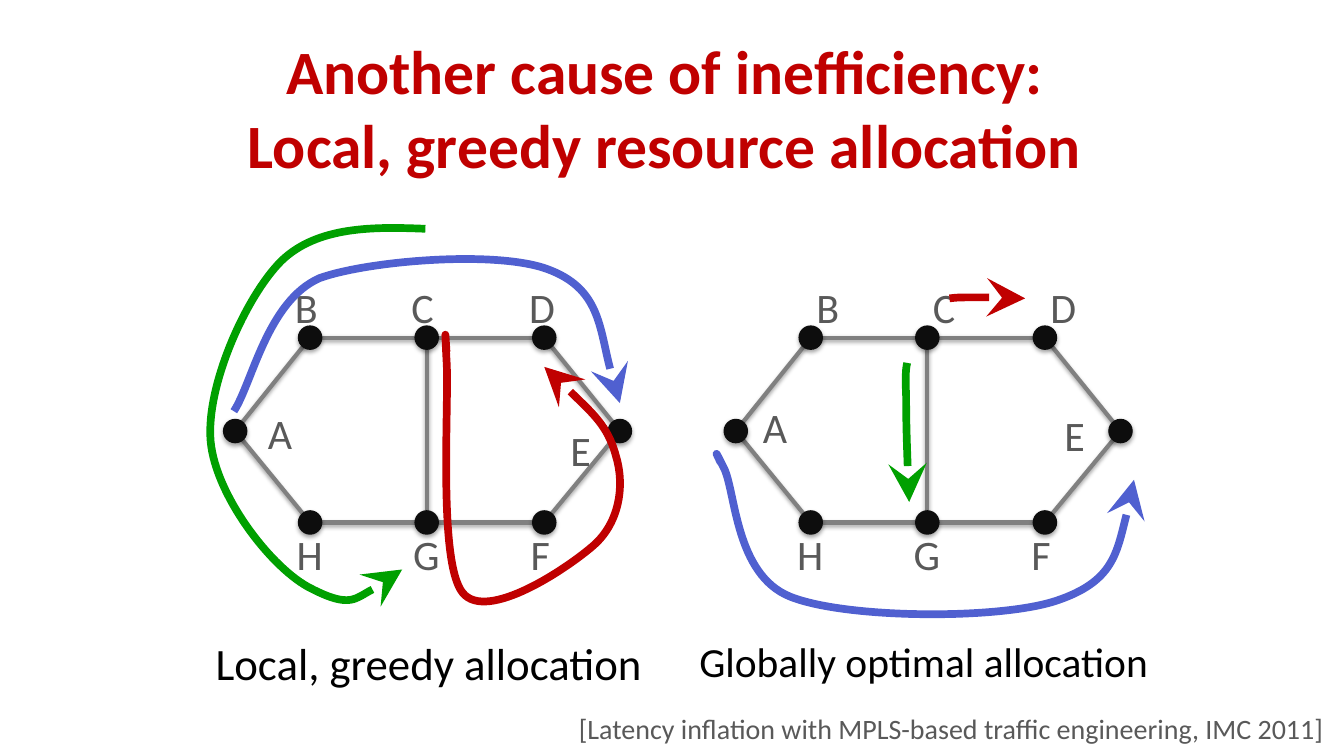
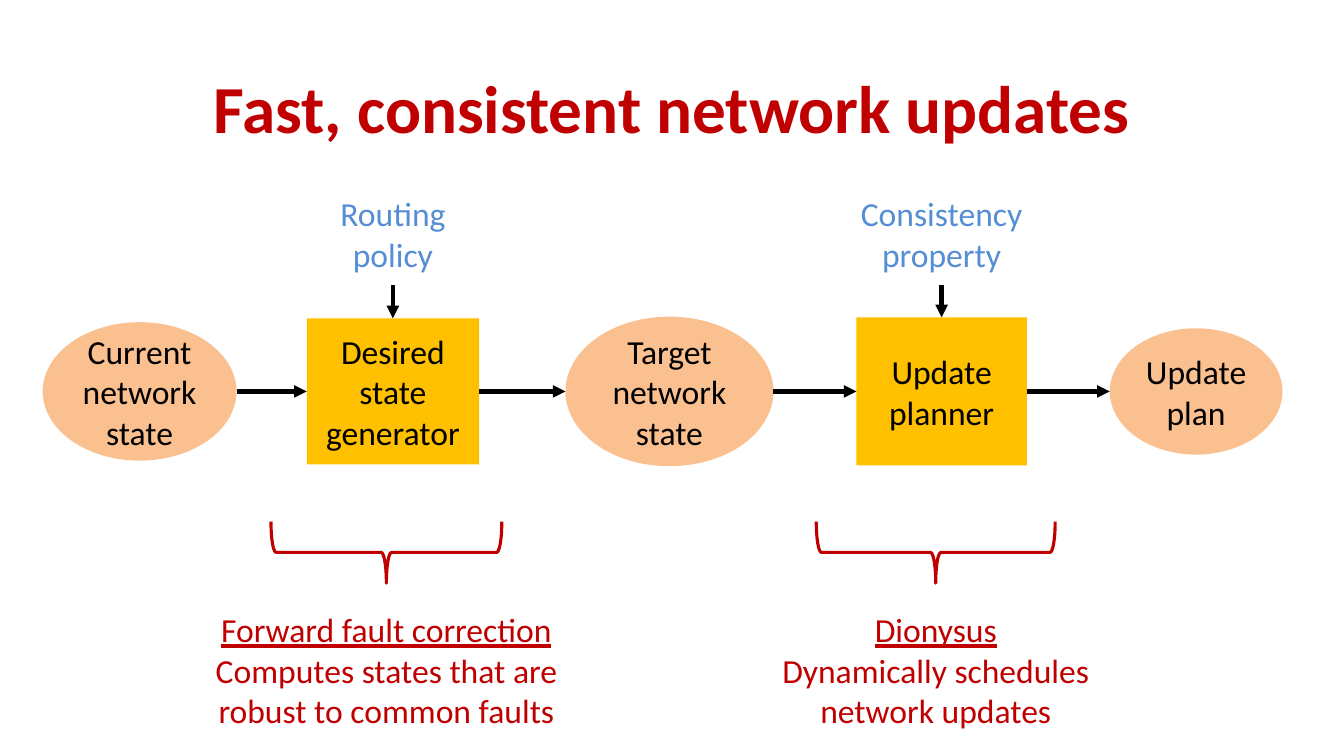
from dataclasses import dataclass

from lxml import etree
from pptx import Presentation
from pptx import util as u
from pptx.dml.color import RGBColor
from pptx.enum import shapes, text
from pptx.oxml import ns

CELL = u.Inches(1 / 3)  # the slide is a grid of square cells
COLS, ROWS = 40, 22.5


@dataclass(frozen=True)
class Theme:
    font: str = "Calibri"
    red: str = "C00000"
    green: str = "00A000"
    blue: str = "5060D0"
    sky: str = "558ED5"
    black: str = "000000"
    grey: str = "595959"
    edge: str = "808080"
    dot: str = "0D0D0D"
    gold: str = "FFC000"
    peach: str = "FAC090"
    title: float = 44
    big_title: float = 48
    caption: float = 32
    small_caption: float = 29.6
    node: float = 30
    label: float = 24
    note: float = 20


T = Theme()

COLUMN = dict(A=7, B=9.23, C=12.7, D=16.2, E=18.45, F=16.2, G=12.7, H=9.23)
TOP, MIDDLE, BOTTOM = 10.05, 12.83, 15.55
ROW = dict(A=MIDDLE, B=TOP, C=TOP, D=TOP, E=MIDDLE, F=BOTTOM, G=BOTTOM, H=BOTTOM)
EDGES = "CG AB BC CD DE EF FG GH HA".split()
DOT = 0.73

# Each flow: colour, then a start point and three points for each Bézier piece.
LOCAL_FLOWS = [
    (T.blue, [(6.96, 12.24),
              (7.5, 11.43), (7.95, 8.97), (9.51, 8.28),
              (10.92, 7.77), (14.73, 7.44), (16.29, 8.01),
              (17.85, 8.58), (17.94, 10.47), (18.45, 12)]),
    (T.red, [(13.29, 10.47),
             (13.26, 9.99), (13.23, 9.51), (13.29, 10.71),
             (13.38, 11.91), (13.02, 16.71), (13.77, 17.64),
             (14.49, 18.54), (16.92, 16.89), (17.67, 16.23),
             (18.45, 15.54), (18.6, 14.43), (18.33, 13.56),
             (18.09, 12.66), (17.13, 11.79), (16.2, 10.92)]),
    (T.green, [(12.66, 6.81),
               (11.16, 6.75), (9.45, 6.72), (8.37, 7.77),
               (7.32, 8.82), (6.12, 11.49), (6.27, 13.14),
               (6.42, 14.76), (8.1, 16.95), (9.27, 17.52),
               (10.44, 18.12), (11.22, 17.52), (11.97, 16.95)]),
]
GLOBAL_FLOWS = [
    (T.blue, [(21.45, 13.77),
              (21.33, 13.53), (21.21, 13.26), (21.54, 13.92),
              (21.9, 14.61), (21.87, 17.1), (23.52, 17.76),
              (25.17, 18.42), (29.73, 18.45), (31.44, 17.88),
              (33.15, 17.31), (33.45, 15.81), (33.75, 14.28)]),
    (T.red, [(28.26, 8.88),
             (28.47, 8.85), (28.65, 8.85), (29.04, 8.85),
             (29.4, 8.85), (29.97, 8.85), (30.51, 8.88)]),
    (T.green, [(27, 10.8),
               (26.97, 10.95), (26.94, 11.1), (26.97, 11.79),
               (26.97, 12.48), (27, 13.71), (27.06, 14.94)]),
]

# Each step: text, is it an ellipse, left, width, height
STEPS = [
    ("Current network state", True, 1.27, 5.77, 4.12),
    ("Desired state generator", False, 9.13, 5.13, 4.35),
    ("Target network state", True, 16.83, 6.19, 4.45),
    ("Update planner", False, 25.49, 5.07, 4.41),
    ("Update plan", True, 33.03, 5.14, 3.76),
]
STEP_ROW = 11.65
# Each input: text, index of the step it feeds, width
INPUTS = [("Routing policy", 1, 5.97), ("Consistency property", 3, 7.8)]
# Each brace: text, centre, brace width, text width
BRACES = [
    ("Forward fault correction\nComputes states that are robust to common faults",
     11.5, 6.87, 11.67),
    ("Dionysus\nDynamically schedules network updates", 27.85, 7.11, 12.27),
]


def grid(*cells):
    return [u.Emu(round(c * CELL)) for c in cells]


def rgb(colour):
    return RGBColor.from_string(colour)


def add_xml(parent, tag, **attributes):
    return etree.SubElement(parent, ns.qn(tag), attributes)


def write(sp, words, size, colour, align=text.PP_ALIGN.CENTER, bold=None):
    tf = sp.text_frame
    tf.text = words
    tf.word_wrap = True
    tf.auto_size = text.MSO_AUTO_SIZE.NONE
    for p in tf.paragraphs:
        p.alignment = align
        for r in p.runs:
            r.font.name, r.font.size, r.font.bold = T.font, u.Pt(size), bold
            r.font.color.rgb = rgb(colour)
    return tf


def place(sp, *box):
    sp.left, sp.top, sp.width, sp.height = grid(*box)


def text_box(s, box, words, size, colour, align=text.PP_ALIGN.CENTER):
    return write(s.shapes.add_textbox(*grid(*box)), words, size, colour, align)


def add_slide(prs, layout, title, size):
    s = prs.slides.add_slide(prs.slide_layouts[layout])
    place(s.shapes.title, 2, 0.9, COLS - 4, 4.55)
    tf = write(s.shapes.title, title, size, T.red, bold=True)
    tf.vertical_anchor = text.MSO_ANCHOR.MIDDLE
    return s


def drop_shadow(sp_pr):
    """Fill the effect list of a shape or connector with a soft shadow."""
    effects = sp_pr.find(ns.qn("a:effectLst"))
    shadow = add_xml(effects, "a:outerShdw", blurRad=str(u.Pt(3.1)),
                     dist=str(u.Pt(1.8)), dir="5400000", rotWithShape="0")
    colour = add_xml(shadow, "a:srgbClr", val=T.black)
    add_xml(colour, "a:alpha", val="35000")


def style_line(sp, colour, width, head=None, size="med"):
    sp.line.color.rgb = rgb(colour)
    sp.line.width = u.Pt(width)
    if head:
        ln = sp._element.spPr.find(ns.qn("a:ln"))
        add_xml(ln, "a:tailEnd", type=head, w=size, len=size)


def line(s, start, end, colour, head=None):
    cx = s.shapes.add_connector(shapes.MSO_CONNECTOR.STRAIGHT, *grid(*start, *end))
    style_line(cx, colour, 3, head)
    add_xml(cx._element.spPr, "a:effectLst")
    return cx


def shape(parent, kind, box, fill=None):
    sp = parent.shapes.add_shape(kind, *grid(*box))
    sp.shadow.inherit = False
    sp.line.fill.background()
    if fill:
        sp.fill.solid()
        sp.fill.fore_color.rgb = rgb(fill)
    else:
        sp.fill.background()
    return sp


def labelled(s, kind, box, words, colour, fill=None):
    tf = write(shape(s, kind, box, fill), words, T.label, colour)
    tf.vertical_anchor = text.MSO_ANCHOR.MIDDLE
    tf.margin_left = tf.margin_right = u.Inches(0.05)


def flow(s, colour, points):
    """Draw an arrow along joined cubic Bézier pieces."""
    start, *rest = [grid(*point) for point in points]
    builder = s.shapes.build_freeform(*start)
    builder.add_line_segments(rest, close=False)
    sp = builder.convert_to_shape()
    outline = sp._element.xpath(".//a:path")[0]
    segments = outline.findall(ns.qn("a:lnTo"))
    for i in range(0, len(segments), 3):
        curve = add_xml(outline, "a:cubicBezTo")
        for segment in segments[i:i + 3]:
            curve.append(segment[0])
            outline.remove(segment)
    sp.fill.background()
    sp.shadow.inherit = False
    style_line(sp, colour, 5.5, "stealth", "lg")


def network(s, x0, top_shift, a_shift, e_shift):
    """Draw the eight-node graph; the shifts move labels away from their nodes."""
    nodes = {name: (x0 + COLUMN[name], ROW[name]) for name in COLUMN}
    for first, last in EDGES:
        drop_shadow(line(s, nodes[first], nodes[last], T.edge)._element.spPr)
    dots = s.shapes.add_group_shape()
    shifts = {TOP: (top_shift, -1.83), BOTTOM: (-0.7, 0.03)}
    for name, (x, y) in nodes.items():
        box = (x - DOT / 2, y - DOT / 2, DOT, DOT)
        dot = shape(dots, shapes.MSO_SHAPE.OVAL, box, T.dot)
        drop_shadow(dot._element.spPr)
        dx, dy = {"A": a_shift, "E": e_shift}.get(name) or shifts[y]
        text_box(s, (x + dx, y + dy, 1.47, 1.83), name, T.node, T.grey,
                 text.PP_ALIGN.LEFT)


def allocation_slide(prs):
    s = add_slide(prs, 1, "Another cause of inefficiency: \n"
                          "Local, greedy resource allocation ", T.title)
    network(s, 0, -0.75, (0.68, -0.86), (-1.77, -0.35))
    network(s, 14.9, -0.13, (0.51, -1.04), (-1.97, -0.8))
    for colour, points in LOCAL_FLOWS + GLOBAL_FLOWS:
        flow(s, colour, points)

    body = s.placeholders[1]
    place(body, 4.56, 18.78, 16.41, 2.1)
    tf = write(body, "Local, greedy allocation", T.caption, T.black)
    p_pr = tf.paragraphs[0]._p.get_or_add_pPr()
    p_pr.set("marL", "0")
    p_pr.set("indent", "0")
    add_xml(p_pr, "a:buNone")

    tf = text_box(s, (20, 18.78, 15, 2.25), "Globally optimal allocation",
                  T.small_caption, T.black)
    tf.paragraphs[0].space_before = u.Pt(6)

    tf = text_box(s, (11.76, 20.82, COLS - 11.76, ROWS - 20.82),
                  "[Latency inflation with MPLS-based traffic engineering, IMC 2011]",
                  T.note, T.grey, text.PP_ALIGN.RIGHT)
    tf.margin_left = tf.margin_right = u.Inches(0.2)
    tf.margin_top = tf.margin_bottom = u.Inches(0.16)
    tf.paragraphs[0].line_spacing = 0.9
    tf.paragraphs[0].space_after = u.Pt(6)


def update_slide(prs):
    s = add_slide(prs, 5, "Fast, consistent network updates", T.big_title)
    oval, rect = shapes.MSO_SHAPE.OVAL, shapes.MSO_SHAPE.RECTANGLE
    for words, is_oval, x, w, h in STEPS:
        kind, fill = (oval, T.peach) if is_oval else (rect, T.gold)
        labelled(s, kind, (x, STEP_ROW - h / 2, w, h), words, T.black, fill)
    for (_, _, x, w, _), (_, _, next_x, _, _) in zip(STEPS, STEPS[1:]):
        line(s, (x + w, STEP_ROW), (next_x, STEP_ROW), T.black, "triangle")

    for words, index, width in INPUTS:
        _, _, x, w, h = STEPS[index]
        centre = x + w / 2
        labelled(s, oval, (centre - width / 2, 5.45, width, 3), words, T.sky)
        line(s, (centre, 8.48), (centre, STEP_ROW - h / 2), T.black, "triangle")

    depth = 1.83
    for words, centre, span, width in BRACES:
        box = (centre - depth / 2, 16.44 - span / 2, depth, span)
        brace = shape(s, shapes.MSO_SHAPE.LEFT_BRACE, box)
        brace.rotation = 270
        style_line(brace, T.red, 2.25)
        tf = text_box(s, (centre - width / 2, 17.98, width, 3.93), words,
                      T.label, T.red)
        tf.paragraphs[0].runs[0].font.underline = True


def main():
    prs = Presentation()
    prs.slide_width, prs.slide_height = grid(COLS, ROWS)
    allocation_slide(prs)
    update_slide(prs)
    prs.save("out.pptx")


if __name__ == "__main__":
    main()
